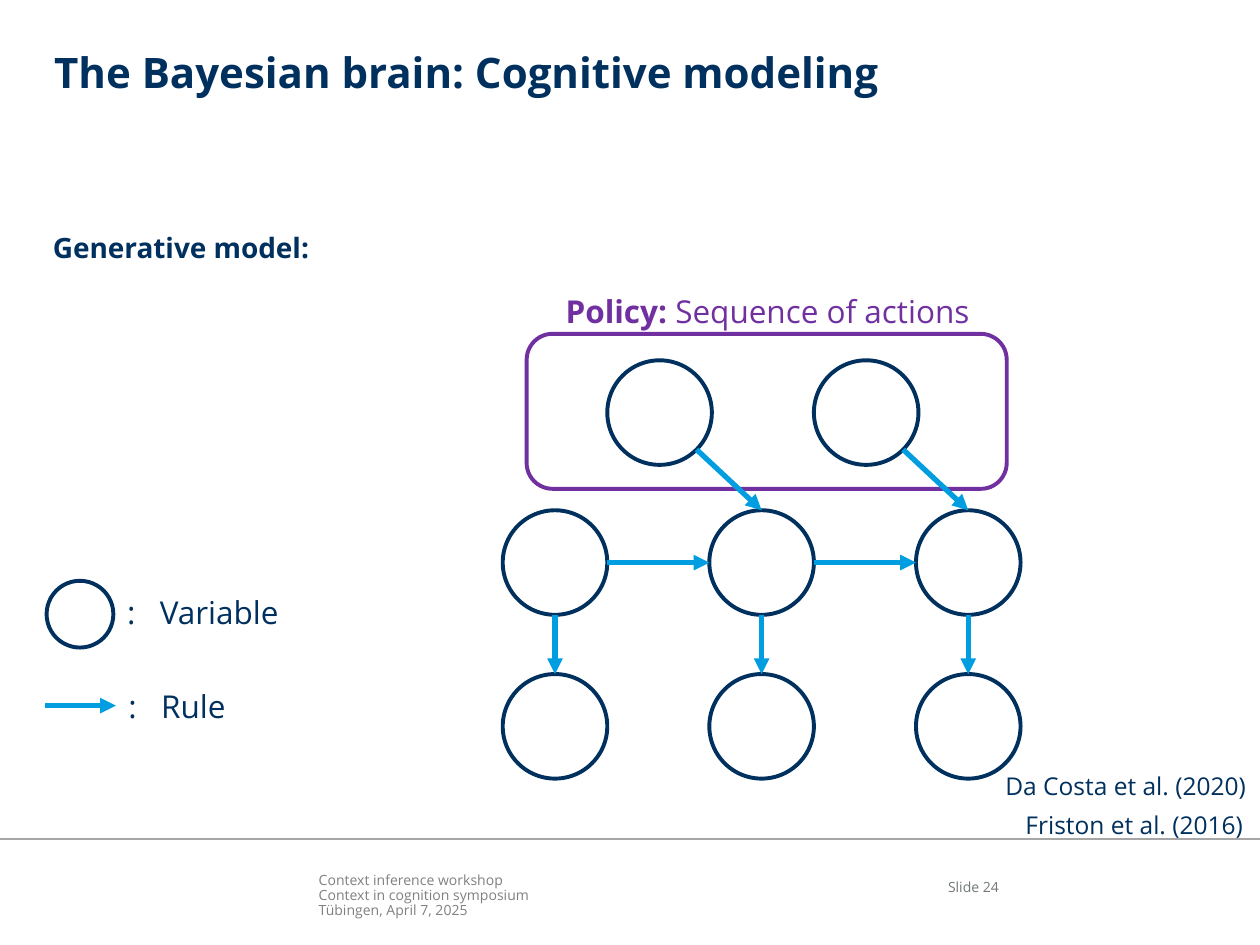
from dataclasses import dataclass
from math import sqrt

from lxml.etree import SubElement
from pptx import Presentation
from pptx.dml.color import RGBColor
from pptx.enum.shapes import MSO_CONNECTOR, MSO_SHAPE
from pptx.enum.text import MSO_ANCHOR, MSO_AUTO_SIZE, PP_ALIGN
from pptx.oxml.ns import qn
from pptx.util import Inches, Pt


@dataclass(frozen=True)
class Theme:
    font: str = "Open Sans"
    navy: str = "00305E"
    blue: str = "009EE0"
    purple: str = "7030A0"
    footer: str = "808080"
    number: str = "727879"
    divider: str = "A6A6A6"
    title_size: int = 24
    label_size: int = 18
    body_size: int = 16
    citation_size: int = 14
    footer_size: int = 8
    outline: float = 2.25
    arrow: float = 3
    hairline: float = 1


THEME = Theme()
COLUMNS, ROWS = 100, 75
WIDTH, HEIGHT = Inches(10), Inches(7.5)


def write_text(para, text, *, size, color=THEME.navy, bold=False,
               align=PP_ALIGN.LEFT, spacing=None):
    para.alignment = align
    if spacing:
        para.line_spacing = spacing
    para.space_before = Pt(0)
    span = para.add_run()
    span.text = text
    span.font.name = THEME.font
    span.font.size = Pt(size)
    span.font.bold = bold
    span.font.color.rgb = RGBColor.from_string(color)


class Page:
    def __init__(self, deck, theme):
        self.theme = theme
        self.slide = deck.slides.add_slide(deck.slide_layouts[1])
        self.shapes = self.slide.shapes

    def across(self, columns):
        return round(WIDTH * columns / COLUMNS)

    def down(self, rows):
        return round(HEIGHT * rows / ROWS)

    def area(self, left, top, width, height):
        return (self.across(left), self.down(top),
                self.across(width), self.down(height))

    def frame(self, box, inset=True, wrap=True):
        frame = box.text_frame
        frame.auto_size = MSO_AUTO_SIZE.NONE
        frame.word_wrap = wrap
        frame.vertical_anchor = MSO_ANCHOR.TOP
        if not inset:
            frame.margin_left = frame.margin_right = 0
            frame.margin_top = frame.margin_bottom = 0
        return frame

    def placeholder(self, index, area, text, size):
        box = self.slide.placeholders[index]
        box.left, box.top, box.width, box.height = self.area(*area)
        para = self.frame(box, inset=False).paragraphs[0]
        properties = para._p.get_or_add_pPr()
        properties.set("marL", "0")
        properties.set("indent", "0")
        SubElement(properties, qn("a:buNone"))
        write_text(para, text, size=size, bold=True)

    def text(self, area, *lines, inset=True, wrap=False, **style):
        frame = self.frame(self.shapes.add_textbox(*self.area(*area)), inset, wrap)
        for number, line in enumerate(lines):
            para = frame.add_paragraph() if number else frame.paragraphs[0]
            write_text(para, line, **style)
        return frame

    def legend(self, area, name, tab=2.6):
        para = self.text(area, f":\t{name}", wrap=True,
                         size=self.theme.label_size).paragraphs[0]
        stops = SubElement(para._p.get_or_add_pPr(), qn("a:tabLst"))
        SubElement(stops, qn("a:tab"), pos=str(self.across(tab)), algn="l")

    def outline(self, kind, area, color):
        shape = self.shapes.add_shape(kind, *self.area(*area))
        shape.shadow.inherit = False
        shape.fill.background()
        shape.line.color.rgb = RGBColor.from_string(color)
        shape.line.width = Pt(self.theme.outline)

    def circle(self, center, diameter):
        x, y = center
        self.outline(MSO_SHAPE.OVAL, (x - diameter / 2, y - diameter / 2,
                                      diameter, diameter), self.theme.navy)

    def line(self, start, end, color, width):
        line = self.shapes.add_connector(
            MSO_CONNECTOR.STRAIGHT, self.across(start[0]), self.down(start[1]),
            self.across(end[0]), self.down(end[1]))
        line.line.color.rgb = RGBColor.from_string(color)
        line.line.width = Pt(width)
        SubElement(line._element.spPr, qn("a:effectLst"))
        return line

    def arrow(self, start, end):
        line = self.line(start, end, self.theme.blue, self.theme.arrow)
        SubElement(line.line._get_or_add_ln(), qn("a:tailEnd"), type="triangle")


def add_footer(page):
    page.line((0, 66.6), (COLUMNS, 66.6), THEME.divider, THEME.hairline)
    page.text((25.3, 69.3, 48.7, 4), "Context inference workshop",
              "Context in cognition symposium", "Tübingen, April 7, 2025",
              inset=False, wrap=True, size=THEME.footer_size,
              color=THEME.footer, spacing=0.9)
    page.text((71.7, 69.9, 7.6, 2), "Slide 24", inset=False, wrap=True,
              size=THEME.footer_size, color=THEME.number,
              align=PP_ALIGN.RIGHT, spacing=0.9)


def add_legend(page):
    page.circle((6.35, 48.75), 5.3)
    page.arrow((3.6, 56), (9.2, 56))
    page.legend((9.1, 46.6, 14.2, 4), "Variable")
    page.legend((9.2, 54, 9.8, 4), "Rule")


def add_model(page):
    diameter, pitch, first = 8.3, 16.4, 44.05
    radius = diameter / 2
    diagonal = radius / sqrt(2)
    action_row, state_row, outcome_row = 32.75, 44.65, 57.65
    centers = [first + pitch * step for step in range(3)]

    page.outline(MSO_SHAPE.ROUNDED_RECTANGLE, (41.8, 26.5, 38.1, 12.3),
                 THEME.purple)
    heading = page.text((43.9, 22.7, 34.4, 4), "Policy: ",
                        size=THEME.label_size, color=THEME.purple, bold=True)
    write_text(heading.paragraphs[0], "Sequence of actions",
               size=THEME.label_size, color=THEME.purple)

    for x in centers:
        page.circle((x, state_row), diameter)
        page.circle((x, outcome_row), diameter)
        page.arrow((x, state_row + radius), (x, outcome_row - radius))

    for x, following in zip(centers, centers[1:]):
        action = x + diameter
        page.circle((action, action_row), diameter)
        page.arrow((x + radius, state_row), (following - radius, state_row))
        page.arrow((action + diagonal, action_row + diagonal),
                   (following, state_row - radius))


def main():
    deck = Presentation()
    deck.slide_width, deck.slide_height = WIDTH, HEIGHT
    page = Page(deck, THEME)
    add_footer(page)
    page.placeholder(0, (4.3, 3.7, 91.5, 8.9),
                     "The Bayesian brain: Cognitive modeling", THEME.title_size)
    page.placeholder(1, (4.2, 18.3, 91.6, 16.3), "Generative model:",
                     THEME.body_size)
    add_legend(page)
    add_model(page)
    page.text((78.8, 60.7, 21.2, 3.4), "Da Costa et al. (2020)",
              size=THEME.citation_size)
    page.text((80.4, 63.8, 19.4, 3.4), "Friston et al. (2016)",
              size=THEME.citation_size)
    deck.save("out.pptx")


if __name__ == "__main__":
    main()
